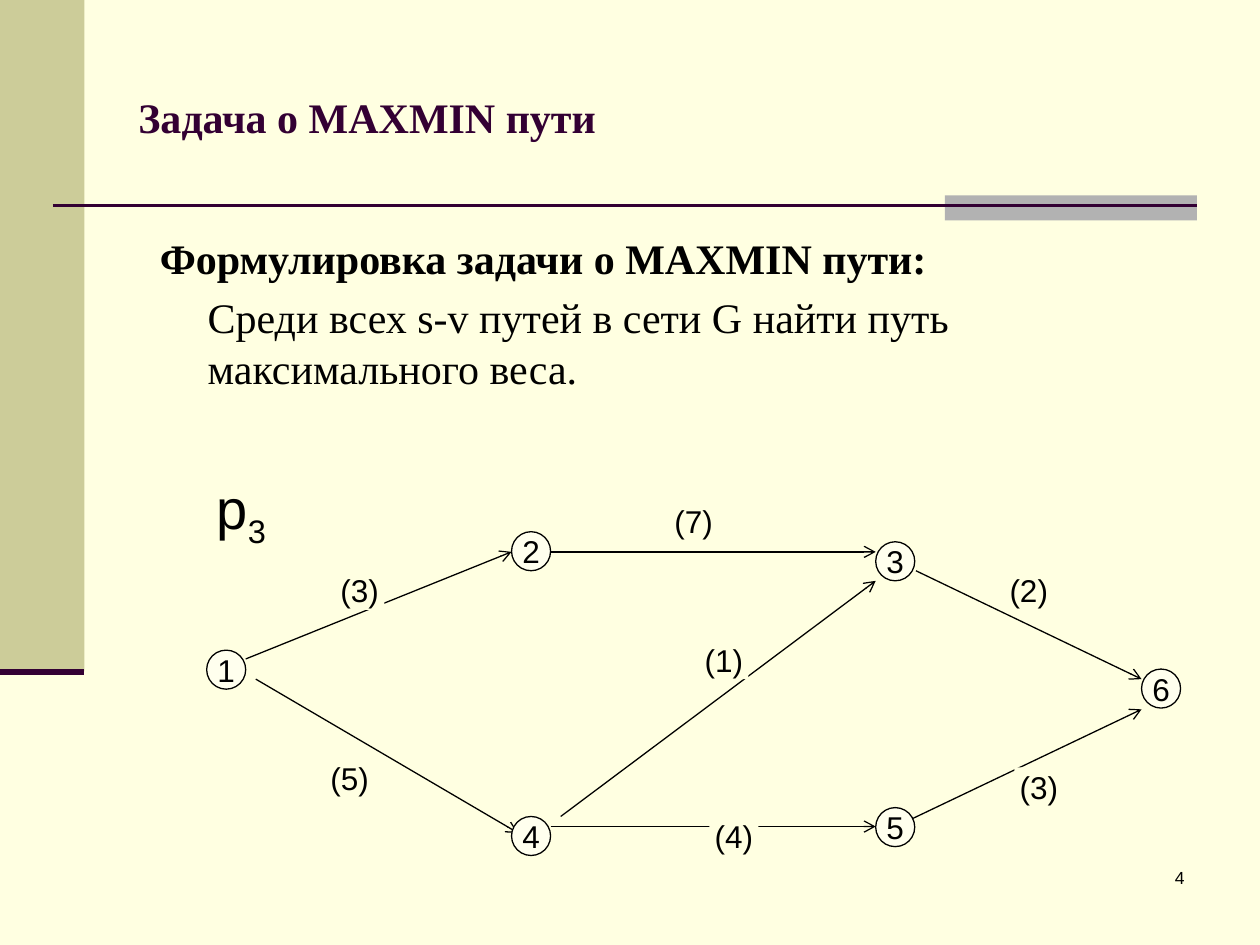
import pptx
import pptx.util
import pptx.dml.color
import pptx.enum.shapes
import pptx.enum.text
import pptx.oxml
import pptx.oxml.ns

Inches, Pt = pptx.util.Inches, pptx.util.Pt
RGB = pptx.dml.color.RGBColor.from_string
Kind = pptx.enum.shapes.MSO_SHAPE
Align = pptx.enum.text.PP_ALIGN
Mid = pptx.enum.text.MSO_ANCHOR.MIDDLE

# Colours and type styles
theme = {
    "page": "FFFFE1", "node": "FFFFEE", "ink": "000000",
    "plum": "330033", "sand": "CCCC99", "grey": "B2B2B2",
    "head": {"name": "Times New Roman", "size": Pt(24), "bold": True},
    "body": {"name": "Times New Roman", "size": Pt(24), "bold": False},
    "mark": {"name": "Arial", "size": Pt(18)},
    "path": {"name": "Arial", "size": Pt(32)},
    "page_no": {"name": "Arial", "size": Pt(10)},
}

deck = pptx.Presentation()
deck.slide_width, deck.slide_height = Inches(10), Inches(7.5)
slide = deck.slides.add_slide(deck.slide_layouts[6])
slide.background.fill.solid()
slide.background.fill.fore_color.rgb = RGB(theme["page"])
shapes = slide.shapes


def write(para, text, style, color="ink", align=Align.LEFT):
    para.alignment = align
    run = para.add_run()
    run.text = text
    for key, val in theme[style].items():
        setattr(run.font, key, val)
    run.font.color.rgb = RGB(theme[color])
    return run


def draw(start, end, color="ink", width=0.75, arrow=False):
    ends = [Inches(v) for v in (*start, *end)]
    line = shapes.add_connector(pptx.enum.shapes.MSO_CONNECTOR.STRAIGHT, *ends)
    line.line.color.rgb = RGB(theme[color])
    line.line.width = Pt(width)
    if arrow:
        tip = pptx.oxml.parse_xml(
            f'<a:tailEnd {pptx.oxml.ns.nsdecls("a")} type="arrow"/>')
        line.line._get_or_add_ln().append(tip)
    props = line._element.spPr
    props.append(pptx.oxml.parse_xml(
        f'<a:effectLst {pptx.oxml.ns.nsdecls("a")}/>'))


# Side band, accent bar and rules
for box, color in [((0, 0, 0.67, 5.33), "sand"), ((7.5, 1.55, 2, 0.2), "grey")]:
    band = shapes.add_shape(Kind.RECTANGLE, *[Inches(v) for v in box])
    band.shadow.inherit = False
    band.fill.solid()
    band.fill.fore_color.rgb = RGB(theme[color])
    band.line.fill.background()
draw((0.42, 1.63), (9.5, 1.63), "plum", 1.5)
draw((0, 5.33), (0.67, 5.33), "plum", 3.5)

# Page number, title and body text
frames = {}
for name, box in {"page_no": (7.42, 6.83, 2.08, 0.5),
                  "title": (1, 0.3, 8.5, 1.25),
                  "body": (1.17, 1.8, 8.5, 1.6)}.items():
    frames[name] = shapes.add_textbox(*[Inches(v) for v in box]).text_frame
    frames[name].word_wrap = True
write(frames["page_no"].paragraphs[0], "4", "page_no", align=Align.RIGHT)
frames["title"].vertical_anchor = Mid
write(frames["title"].paragraphs[0], "Задача о MAXMIN пути", "head", "plum")
write(frames["body"].paragraphs[0], "Формулировка задачи о MAXMIN пути:", "head")
para = frames["body"].add_paragraph()
para.space_before = Pt(4.8)
para._p.get_or_add_pPr().set("marL", str(Inches(0.38)))
write(para, "Среди всех s-v путей в сети G найти путь максимального веса.", "body")

# Graph edges
for start, end in [
    ((1.95, 5.23), (4.06, 4.38)), ((4.37, 4.38), (6.95, 4.38)),
    ((7.27, 4.53), (9.06, 5.39)), ((2.03, 5.39), (4.11, 6.61)),
    ((4.37, 6.56), (6.95, 6.56)), ((7.11, 6.56), (9.06, 5.63)),
    ((4.45, 6.48), (6.95, 4.61)),
]:
    draw(start, end, arrow=True)

# Graph nodes, then edge weights and the path name over the edges
nodes = [("1", 1.64, 5.16), ("2", 4.06, 4.22), ("3", 6.95, 4.3),
         ("4", 4.06, 6.48), ("5", 6.95, 6.41), ("6", 9.06, 5.31)]
marks = [("(3)", 2.66, 4.53), ("(2)", 7.97, 4.53), ("(7)", 5.31, 3.98),
         ("(3)", 8.05, 6.09), ("(4)", 5.63, 6.48), ("(5)", 2.58, 6.02),
         ("(1)", 5.55, 5.08), ("p", 1.72, 3.91)]
for group, kind, width, fill in [
    (nodes, Kind.FLOWCHART_CONNECTOR, 0.31, "node"),
    (marks, Kind.RECTANGLE, 0.39, "page"),
]:
    for text, left, top in group:
        item = shapes.add_shape(kind, Inches(left), Inches(top),
                                Inches(width), Inches(0.31))
        item.shadow.inherit = False
        item.fill.solid()
        item.fill.fore_color.rgb = RGB(theme[fill])
        if group is nodes:
            item.line.color.rgb = RGB(theme["ink"])
            item.line.width = Pt(0.75)
        else:
            item.line.fill.background()
        for key, val in {"word_wrap": False, "vertical_anchor": Mid}.items():
            setattr(item.text_frame, key, val)
        para = item.text_frame.paragraphs[0]
        style = "path" if text == "p" else "mark"
        write(para, text, style, align=Align.CENTER)
        if text == "p":
            sub = write(para, "3", style, align=Align.CENTER)
            sub.font._element.set("baseline", "-25000")

deck.save("out.pptx")
